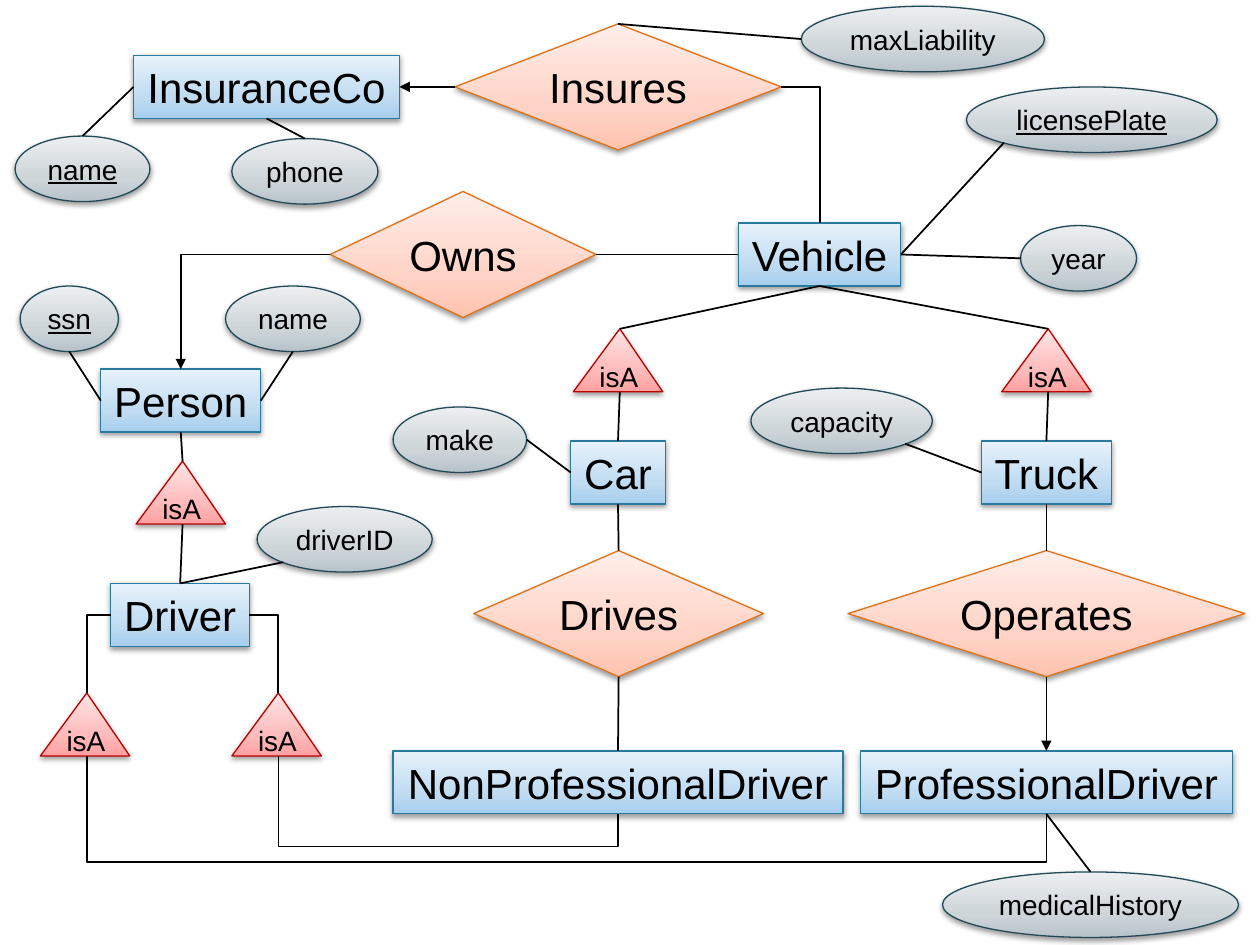
from lxml import etree
from pptx import Presentation
from pptx.dml.color import RGBColor
from pptx.enum.shapes import MSO_CONNECTOR, MSO_SHAPE
from pptx.enum.text import MSO_ANCHOR, MSO_AUTO_SIZE, PP_ALIGN
from pptx.oxml.ns import qn
from pptx.util import Inches, Pt

RECTANGLE, DIAMOND = MSO_SHAPE.RECTANGLE, MSO_SHAPE.DIAMOND
ELLIPSE, TRIANGLE = MSO_SHAPE.OVAL, MSO_SHAPE.ISOSCELES_TRIANGLE
STRAIGHT, ELBOW = MSO_CONNECTOR.STRAIGHT, MSO_CONNECTOR.ELBOW
MIDDLE, CENTER = MSO_ANCHOR.MIDDLE, PP_ALIGN.CENTER
FIT_SHAPE, NO_FIT = MSO_AUTO_SIZE.SHAPE_TO_FIT_TEXT, MSO_AUTO_SIZE.NONE

BLACK = RGBColor(0x00, 0x00, 0x00)
# Per kind: height, text size, outline, gradient from bottom to top
STYLES = {
    RECTANGLE: (0.5, 24, RGBColor(0x28, 0x7A, 0x9E), (
        RGBColor(0xA6, 0xCE, 0xEE), RGBColor(0xC1, 0xDC, 0xF2), RGBColor(0xE7, 0xF2, 0xFB))),
    DIAMOND: (1, 24, RGBColor(0xE2, 0x72, 0x18), (
        RGBColor(0xFF, 0xC3, 0xAF), RGBColor(0xFF, 0xD4, 0xC7), RGBColor(0xFF, 0xEE, 0xEA))),
    TRIANGLE: (0.5, 16, RGBColor(0xBC, 0x00, 0x00), (
        RGBColor(0xFF, 0xA0, 0xA0), RGBColor(0xFF, 0xBC, 0xBC), RGBColor(0xFF, 0xE5, 0xE5))),
    ELLIPSE: (0.52, 16, RGBColor(0x22, 0x49, 0x57), (
        RGBColor(0xB8, 0xC3, 0xCA), RGBColor(0xCD, 0xD5, 0xD9), RGBColor(0xEC, 0xEF, 0xF1))),
}
GRADIENT_POSITIONS = (0, 35, 100)
APEX = 0.52

# Places on a shape's outline, as fractions of its width and height
TOP, LEFT, BOTTOM, RIGHT = (0.5, 0), (0, 0.5), (0.5, 1), (1, 0.5)
BOTTOM_LEFT, BOTTOM_RIGHT = (0.15, 0.85), (0.85, 0.85)
JOINS = [TOP, LEFT, BOTTOM, RIGHT]

# Key, kind, left, top, width, label
NODES = [
    ("company", RECTANGLE, 1.06, 0.44, 2.11, "InsuranceCo"),
    ("vehicle", RECTANGLE, 5.86, 1.77, 1.29, "Vehicle"),
    ("person", RECTANGLE, 0.8, 2.93, 1.27, "Person"),
    ("driver", RECTANGLE, 0.88, 4.63, 1.1, "Driver"),
    ("car", RECTANGLE, 4.53, 3.5, 0.75, "Car"),
    ("truck", RECTANGLE, 7.79, 3.5, 1.03, "Truck"),
    ("amateur", RECTANGLE, 3.12, 5.96, 3.57, "NonProfessionalDriver"),
    ("professional", RECTANGLE, 6.83, 5.96, 2.95, "ProfessionalDriver"),
    ("insures", DIAMOND, 3.61, 0.19, 2.59, "Insures"),
    ("owns", DIAMOND, 2.62, 1.52, 2.11, "Owns"),
    ("drives", DIAMOND, 3.76, 4.37, 2.3, "Drives"),
    ("operates", DIAMOND, 6.73, 4.37, 3.15, "Operates"),
    ("car isA", TRIANGLE, 4.55, 2.61, 0.71, "isA"),
    ("truck isA", TRIANGLE, 7.95, 2.61, 0.71, "isA"),
    ("driver isA", TRIANGLE, 1.08, 3.66, 0.71, "isA"),
    ("professional isA", TRIANGLE, 0.32, 5.5, 0.71, "isA"),
    ("amateur isA", TRIANGLE, 1.84, 5.5, 0.71, "isA"),
    ("company name", ELLIPSE, 0.12, 1.08, 1.07, "name"),
    ("phone", ELLIPSE, 1.84, 1.1, 1.16, "phone"),
    ("liability", ELLIPSE, 6.36, 0.05, 1.93, "maxLiability"),
    ("plate", ELLIPSE, 7.67, 0.69, 1.99, "licensePlate"),
    ("year", ELLIPSE, 8.1, 1.79, 0.92, "year"),
    ("make", ELLIPSE, 3.12, 3.23, 1.06, "make"),
    ("capacity", ELLIPSE, 5.96, 3.08, 1.44, "capacity"),
    ("history", ELLIPSE, 7.48, 6.92, 2.35, "medicalHistory"),
    ("ssn", ELLIPSE, 0.16, 2.27, 0.78, "ssn"),
    ("person name", ELLIPSE, 1.79, 2.27, 1.07, "name"),
    ("driver id", ELLIPSE, 2.04, 4.02, 1.39, "driverID"),
]
PRIMARY_KEYS = {"company name", "plate", "ssn"}

# From, place, to, place, arrow at the end
STRAIGHT_LINKS = [
    ("vehicle", BOTTOM, "car isA", TOP, False),
    ("vehicle", BOTTOM, "truck isA", TOP, False),
    ("vehicle", LEFT, "owns", RIGHT, False),
    ("insures", LEFT, "company", RIGHT, True),
    ("car isA", BOTTOM, "car", TOP, False),
    ("truck isA", BOTTOM, "truck", TOP, False),
    ("drives", TOP, "car", BOTTOM, False),
    ("operates", TOP, "truck", BOTTOM, False),
    ("amateur", TOP, "drives", BOTTOM, False),
    ("operates", BOTTOM, "professional", TOP, True),
    ("person", BOTTOM, "driver isA", TOP, False),
    ("driver isA", BOTTOM, "driver", TOP, False),
    ("company", LEFT, "company name", TOP, False),
    ("company", BOTTOM, "phone", TOP, False),
    ("person", LEFT, "ssn", BOTTOM, False),
    ("person", RIGHT, "person name", BOTTOM, False),
    ("make", RIGHT, "car", LEFT, False),
    ("capacity", BOTTOM_RIGHT, "truck", LEFT, False),
    ("liability", LEFT, "insures", TOP, False),
    ("plate", BOTTOM_LEFT, "vehicle", RIGHT, False),
    ("year", LEFT, "vehicle", RIGHT, False),
    ("driver id", BOTTOM_LEFT, "driver", TOP, False),
    ("professional", BOTTOM, "history", TOP, False),
]
CORNER_LINKS = [
    ("insures", RIGHT, "vehicle", TOP, False),
    ("owns", LEFT, "person", TOP, True),
    ("driver", LEFT, "professional isA", TOP, False),
    ("driver", RIGHT, "amateur isA", TOP, False),
]
# From, to, height of the lowest stretch
LOOP_LINKS = [
    ("professional isA", "professional", 6.84),
    ("amateur isA", "amateur", 6.72),
]

presentation = Presentation()
presentation.slide_width, presentation.slide_height = Inches(10), Inches(7.5)
slide = presentation.slides.add_slide(presentation.slide_layouts[6])
shapes = {}


def point_on(key, place):
    shape = shapes[key]
    across, down = place
    if shape.auto_shape_type == TRIANGLE:
        across = APEX
    return (round(shape.left + across * shape.width),
            round(shape.top + down * shape.height))


def add_link(kind, start, end, arrow=False):
    connector = slide.shapes.add_connector(kind, *start, *end)
    connector.line.color.rgb = BLACK
    connector.line.width = Pt(1)
    if arrow:
        etree.SubElement(connector.line._get_or_add_ln(), qn("a:tailEnd"), type="triangle")
    etree.SubElement(connector._element.spPr, qn("a:effectLst"))
    return connector


# Entities, relationships, subclass triangles and attributes
for key, kind, left, top, width, label in NODES:
    height, size, outline, colors = STYLES[kind]
    shape = slide.shapes.add_shape(
        kind, Inches(left), Inches(top), Inches(width), Inches(height))
    shapes[key] = shape
    if kind == TRIANGLE:
        shape.adjustments[0] = APEX
    shape.line.color.rgb = outline
    shape.line.width = Pt(0.75)

    # Three-stop gradient
    shape.fill.gradient()
    shape.fill.gradient_angle = 90
    properties = shape._element.spPr
    stops = properties.find(qn("a:gradFill")).find(qn("a:gsLst"))
    for stop in list(stops):
        stops.remove(stop)
    for position, color in zip(GRADIENT_POSITIONS, colors):
        stop = etree.SubElement(stops, qn("a:gs"), pos=str(position * 1000))
        etree.SubElement(stop, qn("a:srgbClr"), val=str(color))

    # Soft shadow below
    shape.shadow.inherit = False
    shadow = etree.SubElement(
        properties.find(qn("a:effectLst")), qn("a:outerShdw"),
        blurRad="40000", dist="20000", dir="5400000", rotWithShape="0")
    shadow_color = etree.SubElement(shadow, qn("a:srgbClr"), val=str(BLACK))
    etree.SubElement(shadow_color, qn("a:alpha"), val="38000")

    # Label
    frame = shape.text_frame
    frame.text = label
    frame.word_wrap = False
    frame.auto_size = NO_FIT if kind == TRIANGLE else FIT_SHAPE
    frame.vertical_anchor = MIDDLE
    paragraph = frame.paragraphs[0]
    paragraph.alignment = CENTER
    paragraph.font.name = "Arial"
    paragraph.font.size = Pt(size)
    paragraph.font.color.rgb = BLACK
    if key in PRIMARY_KEYS:
        paragraph.font.underline = True

# Straight links, joined to rectangles and diamonds
for start, start_place, end, end_place, arrow in STRAIGHT_LINKS:
    connector = add_link(
        STRAIGHT, point_on(start, start_place), point_on(end, end_place), arrow)
    for key, place, join in ((start, start_place, connector.begin_connect),
                             (end, end_place, connector.end_connect)):
        if shapes[key].auto_shape_type in (RECTANGLE, DIAMOND):
            join(shapes[key], JOINS.index(place))

# Links with one corner: sideways first, then down
for start, start_place, end, end_place, arrow in CORNER_LINKS:
    connector = add_link(
        ELBOW, point_on(start, start_place), point_on(end, end_place), arrow)
    connector._element.spPr.prstGeom.set("prst", "bentConnector2")

# Links that run below both ends: an elbow turned by 270 degrees
for start, end, lowest in LOOP_LINKS:
    (x1, y1), (x2, y2) = point_on(start, BOTTOM), point_on(end, BOTTOM)
    middle_x, middle_y = (x1 + x2) // 2, (y1 + y2) // 2
    half_width, half_height = (x2 - x1) // 2, (y2 - y1) // 2
    connector = add_link(ELBOW, (middle_x + half_height, middle_y - half_width),
                         (middle_x - half_height, middle_y + half_width))
    properties = connector._element.spPr
    properties.xfrm.set("rot", str(270 * 60000))
    bend = round((Inches(lowest) - y1) / (y2 - y1) * 100000)
    adjustments = properties.prstGeom.get_or_add_avLst()
    etree.SubElement(adjustments, qn("a:gd"), name="adj1", fmla=f"val {bend}")

presentation.save("out.pptx")
